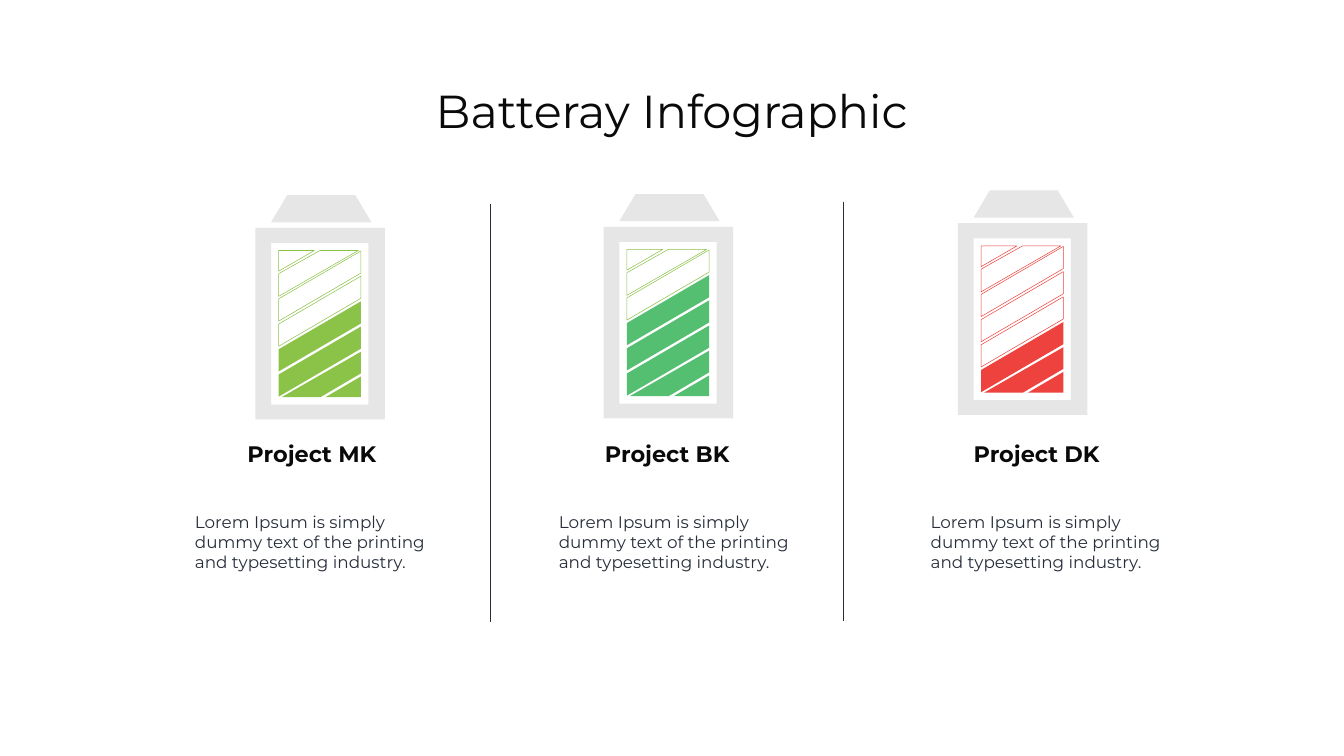
from lxml import etree
from pptx import Presentation
from pptx.dml.color import RGBColor
from pptx.enum.shapes import MSO_CONNECTOR as Conn
from pptx.enum.text import MSO_ANCHOR as Anchor, MSO_AUTO_SIZE as Fit, PP_ALIGN as Align
from pptx.oxml.ns import qn
from pptx.util import Inches, Pt

FONT = "Montserrat"
HEX = {"ink": "0A0A0A", "slate": "272E3A", "case": "E7E6E6",
       "lime": "8BC248", "green": "54BE71", "red": "ED423D"}
TITLE = "Batteray Infographic"
BODY = "Lorem Ipsum is simply dummy text of the printing and typesetting industry."
ITEMS = [
    {"name": "Project MK", "at": (5.07, 4.52), "empty": 4, "fill": "lime", "edge": "lime",
     "name_x": 4.19, "body_x": 3.77},
    {"name": "Project BK", "at": (11.98, 4.5), "empty": 3, "fill": "green", "edge": "lime",
     "name_x": 11.24, "body_x": 10.99},
    {"name": "Project DK", "at": (19.01, 4.43), "empty": 5, "fill": "red", "edge": "red",
     "name_x": 18.57, "body_x": 18.37},
]
RULES = [(9.73, 4.04, 12.35), (16.73, 4, 12.32)]

FRAME = [(0, 3.8), (2.57, 3.8), (2.57, 0), (0, 0)]
HOLE = [(2.24, 0.3), (2.24, 3.51), (0.31, 3.51), (0.31, 0.3)]
CAP = [(0.63, -0.65), (0.31, -0.11), (2.3, -0.11), (1.98, -0.65)]
INSET, WIDE, TALL, STEP = 0.46, 1.63, 2.91, 0.5
BANDS = [
    [(0.71, 0), (0, 0), (0, 0.41)],
    [(0, 0.46), (0, 0.91), (1.58, 0), (0.82, 0)],
    *[[(WIDE, 0.45 + d), (WIDE, 0.01 + d), (0, 0.96 + d), (0, 1.4 + d)]
      for d in (STEP * n for n in range(4))],
    [(WIDE, 2.44), (WIDE, 2.01), (0.06, TALL), (0.83, TALL)],
    [(0.93, TALL), (WIDE, TALL), (WIDE, 2.5)],
]


def rgb(key):
    return RGBColor.from_string(HEX[key])


def draw(slide, x, y, loops, fill=None, edge=None):
    paths = [[(Inches(x + a), Inches(y + b)) for a, b in loop] for loop in loops]
    pen = slide.shapes.build_freeform(*paths[0][0])
    pen.add_line_segments(paths[0][1:], close=True)
    for path in paths[1:]:
        pen.move_to(*path[0])
        pen.add_line_segments(path[1:], close=True)
    shape = pen.convert_to_shape()
    shape.shadow.inherit = False
    if fill:
        shape.fill.solid()
        shape.fill.fore_color.rgb = rgb(fill)
    else:
        shape.fill.background()
    if edge:
        shape.line.color.rgb = rgb(edge)
        shape.line.width = Pt(0.75)
    else:
        shape.line.fill.background()


def style(para, text, size, color, align, bold=False):
    para.text = text
    para.alignment = align
    font = para.font
    font.name, font.size, font.bold = FONT, Pt(size), bold
    font.color.rgb = rgb(color)


def label(slide, box, *look):
    frame = slide.shapes.add_textbox(*map(Inches, box)).text_frame
    frame.word_wrap = True
    frame.auto_size = Fit.SHAPE_TO_FIT_TEXT
    style(frame.paragraphs[0], *look)


def rule(slide, x, top, end):
    line = slide.shapes.add_connector(Conn.STRAIGHT, *map(Inches, (x, top, x, end)))
    line.line.color.rgb = rgb("slate")
    line.line.width = Pt(0.75)
    etree.SubElement(line._element.spPr, qn("a:effectLst"))


def battery(slide, item):
    x, y = item["at"]
    draw(slide, x, y, [FRAME, HOLE], "case")
    draw(slide, x, y, [CAP], "case")
    for n, band in enumerate(BANDS):
        hue = {"edge": item["edge"]} if n < item["empty"] else {"fill": item["fill"]}
        draw(slide, x + INSET, y + INSET - 0.01, [band], **hue)


def main():
    deck = Presentation()
    deck.slide_width, deck.slide_height = Inches(26.67), Inches(15)
    slide = deck.slides.add_slide(deck.slide_layouts[5])

    title = slide.shapes.title
    title.left, title.top, title.width, title.height = map(Inches, (1.83, 0.8, 23, 2.9))
    frame = title.text_frame
    frame.auto_size = Fit.NONE
    frame.vertical_anchor = Anchor.MIDDLE
    style(frame.paragraphs[0], TITLE, 66, "ink", Align.CENTER)
    frame.paragraphs[0].line_spacing = 0.9

    for spot in RULES:
        rule(slide, *spot)
    for item in ITEMS:
        battery(slide, item)
        label(slide, (item["name_x"], 8.69, 4, 0.64), item["name"], 32, "ink", Align.CENTER, True)
        label(slide, (item["body_x"], 10.1, 5, 1.31), BODY, 24, "slate", Align.LEFT)
    deck.save("out.pptx")


if __name__ == "__main__":
    main()
